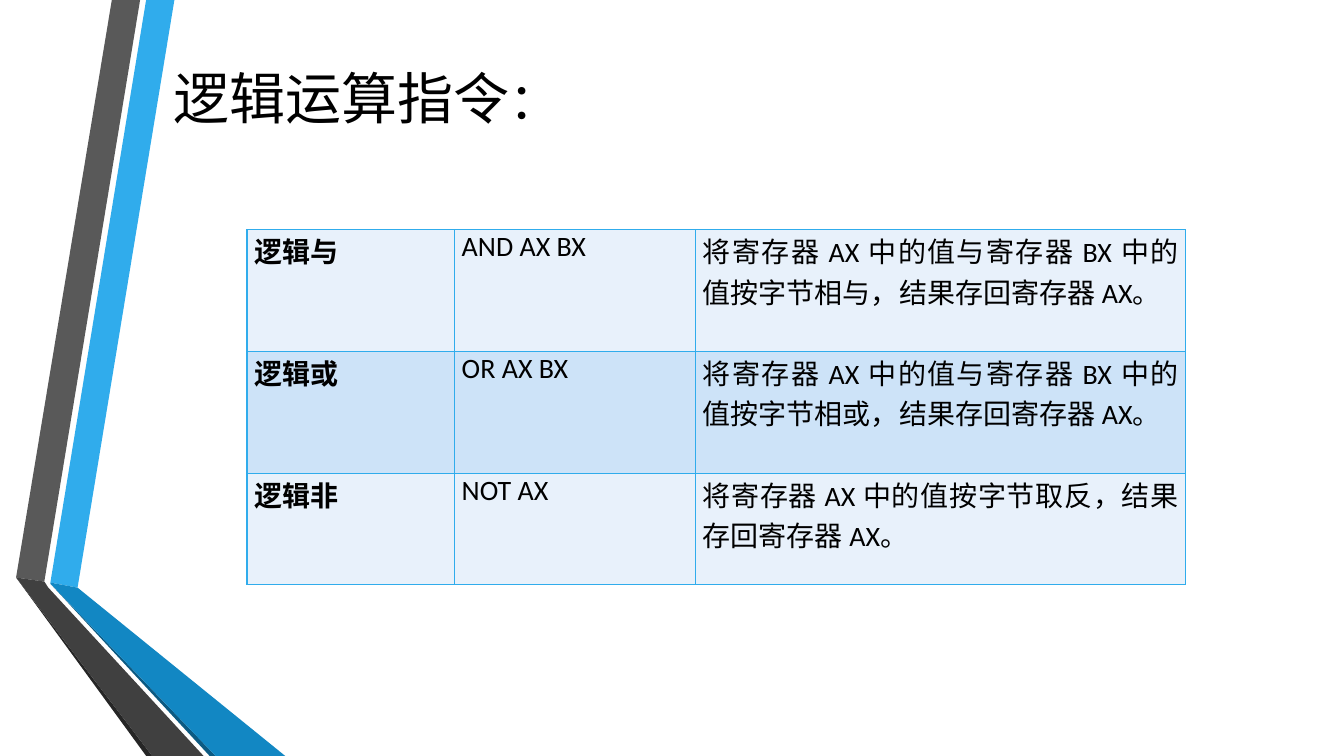
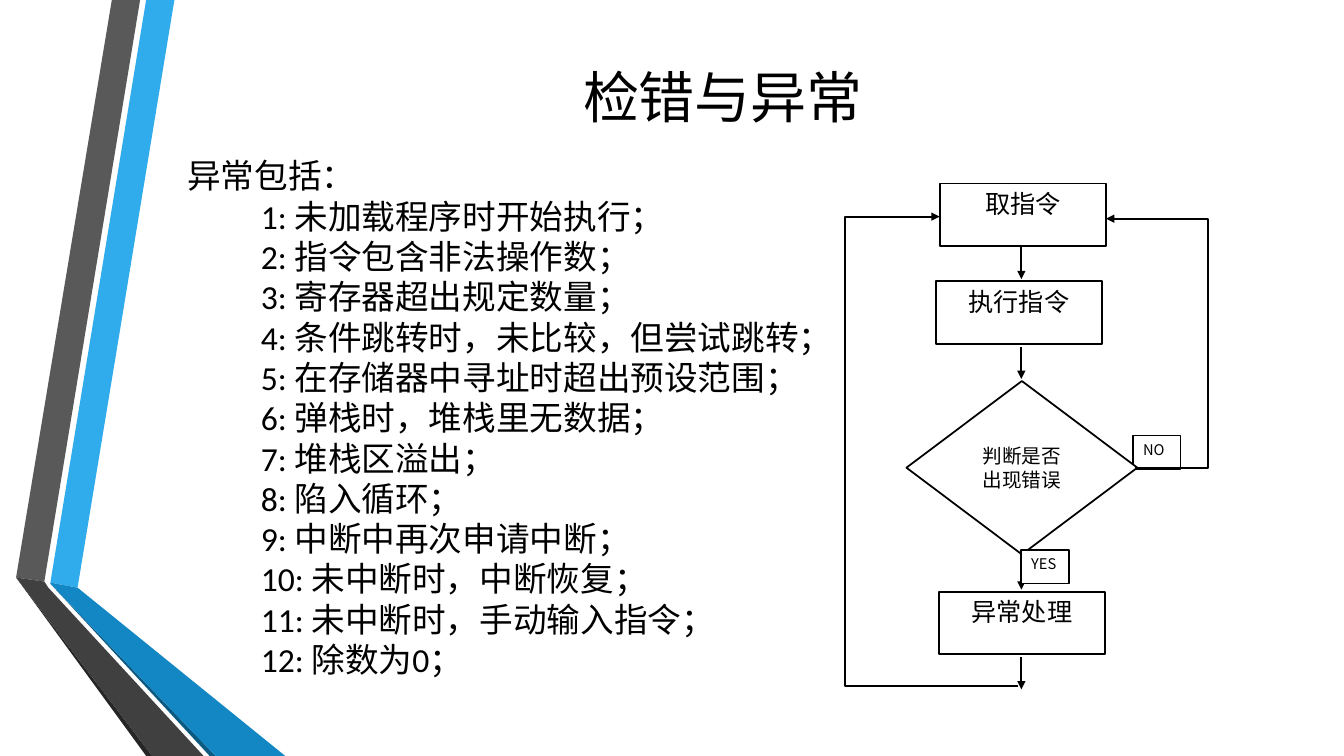
from lxml.etree import SubElement as Sub
from pptx import Presentation
from pptx.dml.color import RGBColor
from pptx.enum.shapes import MSO_CONNECTOR as Link, MSO_SHAPE as Form
from pptx.enum.text import MSO_ANCHOR as Anchor, PP_ALIGN as Align
from pptx.oxml.ns import qn
from pptx.util import Inches, Pt

INK = {"text": "000000", "paper": "FFFFFF", "sky": "30ACEC", "blue": "1287C3",
       "navy": "0C5A82", "gray": "595959", "dark": "404040", "coal": "262626",
       "odd": "E8F1FB", "even": "CDE3F8"}
LATIN, HAN = "Calibri", "Noto Sans CJK SC"
WIDE, HIGH = 13.33, 7.5

BANDS = [
    ("sky", [(0.5, 5.78), (0.77, 5.83), (1.73, 0), (1.45, 0)]),
    ("gray", [(1.39, 0), (1.11, 0), (0.16, 5.73), (0.44, 5.77)]),
    ("coal", [(0.16, 5.73), (1.45, HIGH), (1.51, HIGH)]),
    ("navy", [(0.5, 5.79), (2.08, HIGH), (2.14, HIGH)]),
    ("blue", [(0.5, 5.79), (2.14, HIGH), (2.83, HIGH), (0.77, 5.83), (0.5, 5.78)]),
    ("dark", [(2.02, HIGH), (0.48, 5.83), (0.44, 5.77), (0.16, 5.73), (1.51, HIGH)]),
]

LOGIC = [
    ("逻辑与", "AND AX BX", "将寄存器 AX 中的值与寄存器 BX 中的值按字节相与，结果存回寄存器 AX。"),
    ("逻辑或", "OR AX BX", "将寄存器 AX 中的值与寄存器 BX 中的值按字节相或，结果存回寄存器 AX。"),
    ("逻辑非", "NOT AX", "将寄存器 AX 中的值按字节取反，结果存回寄存器 AX。"),
]
COLS, ROW = (2.06, 2.39, 4.86), 1.1

INTRO = "异常包括："
FAULTS = ["未加载程序时开始执行；", "指令包含非法操作数；", "寄存器超出规定数量；",
          "条件跳转时，未比较，但尝试跳转；", "在存储器中寻址时超出预设范围；",
          "弹栈时，堆栈里无数据；", "堆栈区溢出；", "陷入循环；", "中断中再次申请中断；",
          "未中断时，中断恢复；", "未中断时，手动输入指令；", "除数为0；"]

STEP = {"form": Form.RECTANGLE, "size": 18, "align": Align.CENTER, "anchor": Anchor.TOP}
TAG = {**STEP, "size": 10.5, "align": Align.JUSTIFY}
TEST = {**STEP, "form": Form.DIAMOND, "size": 14, "anchor": Anchor.MIDDLE,
        "font": LATIN, "pitch": 17}
NODES = [
    ("NO", (11.24, 4.32, 0.47, 0.33), TAG),
    ("取指令", (9.32, 1.82, 1.65, 0.62), STEP),
    ("执行指令", (9.28, 2.79, 1.65, 0.62), STEP),
    ("判断是否出现错误", (8.99, 3.78, 2.29, 1.72), TEST),
    ("异常处理", (9.31, 5.87, 1.65, 0.62), STEP),
    ("YES", (10.13, 5.46, 0.47, 0.33), TAG),
]
AXIS, DROP = 10.13, 0.32
DROPS = [2.45, 3.44, 5.53, 6.52]
LOOPS = [((11.26, 4.64), (10.97, 2.17), 11.98), ((10.1, 6.81), (9.32, 2.15), 8.38)]


def rgb(name):
    """Look up a named colour."""
    return RGBColor.from_string(INK[name])


def box(spot):
    """Turn inches into lengths."""
    return [Inches(part) for part in spot]


def write(para, text, size, font=LATIN, bold=False):
    """Add one formatted run to a paragraph."""
    run = para.add_run()
    run.text = text
    for key, val in {"size": Pt(size), "name": font, "bold": bold}.items():
        setattr(run.font, key, val)
    run.font.color.rgb = rgb("text")
    Sub(run.font._element, qn("a:ea"), typeface=HAN)


def paint(shape, name):
    """Give a shape a plain fill without shadow."""
    shape.shadow.inherit = False
    shape.fill.solid()
    shape.fill.fore_color.rgb = rgb(name)


def stroke(shape):
    """Give a shape the flowchart outline."""
    shape.line.color.rgb = rgb("text")
    shape.line.width = Pt(1.25)


def dress(slide, layout):
    """Draw the bands and move them to the shared layout."""
    for num, (name, dots) in enumerate(BANDS, 101):
        dots = [box(dot) for dot in dots]
        pen = slide.shapes.build_freeform(*dots[0], scale=1.0)
        pen.add_line_segments(dots[1:], close=True)
        band = pen.convert_to_shape()
        paint(band, name)
        band.line.fill.background()
        node = band._element
        node.nvSpPr.cNvPr.set("id", str(num))
        layout.shapes._spTree.append(node)


def head(slide, parts, spot, align):
    """Place and format the title."""
    title = slide.shapes.title
    for key, val in zip(("left", "top", "width", "height"), box(spot)):
        setattr(title, key, val)
    title.text_frame.vertical_anchor = Anchor.MIDDLE
    para = title.text_frame.paragraphs[0]
    para.alignment = align
    for text, size in parts:
        write(para, text, size)


def edge(cell):
    """Draw the four borders of a cell."""
    for side in ("lnL", "lnR", "lnT", "lnB"):
        line = Sub(cell._tc.get_or_add_tcPr(), qn("a:" + side), w=str(Pt(1)))
        fill = Sub(line, qn("a:solidFill"))
        Sub(fill, qn("a:srgbClr"), val=INK["sky"])


def grid(slide):
    """Build the instruction table."""
    spot = box((2.45, 2.28, sum(COLS), ROW * len(LOGIC)))
    table = slide.shapes.add_table(len(LOGIC), len(COLS), *spot).table
    table.first_row = table.horz_banding = False
    for col, width in zip(table.columns, COLS):
        col.width = Inches(width)
    look = {"margin_left": Inches(0.07), "margin_right": Inches(0.07),
            "margin_top": 0, "margin_bottom": 0}
    for r, texts in enumerate(LOGIC):
        for c, text in enumerate(texts):
            cell = table.cell(r, c)
            edge(cell)
            for key, val in look.items():
                setattr(cell, key, val)
            cell.fill.solid()
            cell.fill.fore_color.rgb = rgb("even" if r % 2 else "odd")
            para = cell.text_frame.paragraphs[0]
            para.alignment = Align.JUSTIFY
            write(para, text, 20, bold=c == 0)


def faults(slide):
    """Write the numbered list of exceptions."""
    frame = slide.shapes.add_textbox(*box((1.76, 1.49, 6.67, 5.35))).text_frame
    frame.word_wrap = True
    lines = [INTRO] + [f"{n}: {text}" for n, text in enumerate(FAULTS, 1)]
    for n, text in enumerate(lines):
        para = frame.add_paragraph() if n else frame.paragraphs[0]
        para.alignment = Align.LEFT
        para.line_spacing = Pt(28.8)
        if n:
            para._p.get_or_add_pPr().set("marL", str(Inches(0.73)))
        write(para, text, 24)


def node(slide, text, spot, look):
    """Draw one flowchart node."""
    shape = slide.shapes.add_shape(look["form"], *box(spot))
    paint(shape, "paper")
    stroke(shape)
    frame = shape.text_frame
    frame.word_wrap = True
    frame.vertical_anchor = look["anchor"]
    para = frame.paragraphs[0]
    para.alignment = look["align"]
    if "pitch" in look:
        para.line_spacing = Pt(look["pitch"])
    write(para, text, look["size"], look.get("font", HAN))


def arrow(slide, start, end, via=None):
    """Draw an arrow, bent at the given column if there is one."""
    kind = Link.STRAIGHT if via is None else Link.ELBOW
    link = slide.shapes.add_connector(kind, *box(start + end))
    stroke(link)
    Sub(link.line._get_or_add_ln(), qn("a:tailEnd"), type="triangle")
    props = link._element.spPr
    Sub(props, qn("a:effectLst"))
    if via is not None:
        share = round((via - start[0]) / (end[0] - start[0]) * 100000)
        guides = props.find(qn("a:prstGeom")).get_or_add_avLst()
        Sub(guides, qn("a:gd"), name="adj1", fmla=f"val {share}")


def flow(slide):
    """Draw the flowchart."""
    for top in DROPS:
        arrow(slide, (AXIS, top), (AXIS, top + DROP))
    for item in NODES:
        node(slide, *item)
    for loop in LOOPS:
        arrow(slide, *loop)


def main():
    """Build and save the two slides."""
    deck = Presentation()
    deck.slide_width, deck.slide_height = box((WIDE, HIGH))
    layout = deck.slide_layouts[5]
    logic, errors = [deck.slides.add_slide(layout) for _ in range(2)]
    dress(logic, layout)
    head(logic, [("逻辑运算指令", 40), ("：", 36)], (1.62, 0, 10.96, 1.92), Align.LEFT)
    grid(logic)
    head(errors, [("检错与异常", 40)], (1.69, -0.01, 10.96, 1.92), Align.CENTER)
    flow(errors)
    faults(errors)
    deck.save("out.pptx")


if __name__ == "__main__":
    main()
